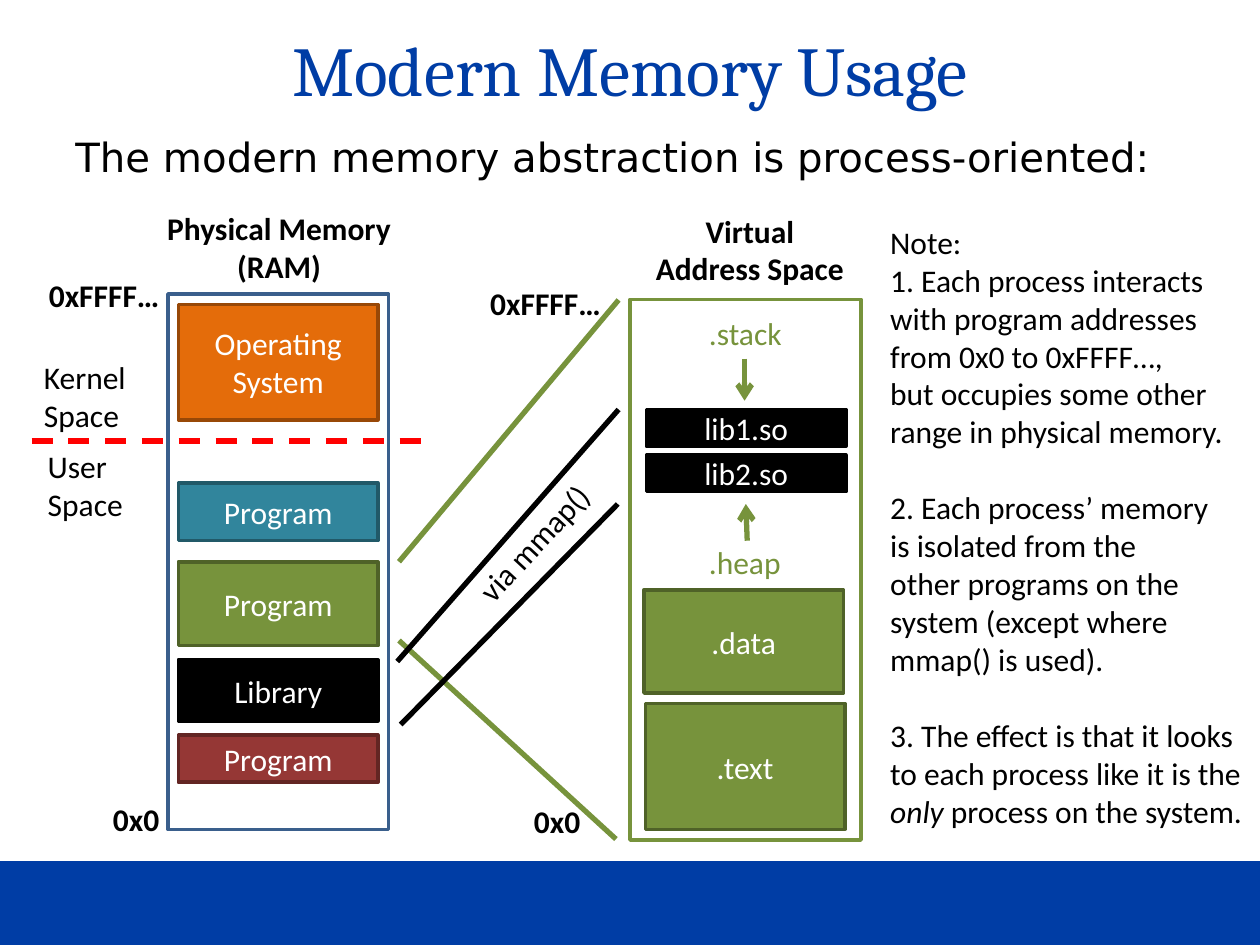
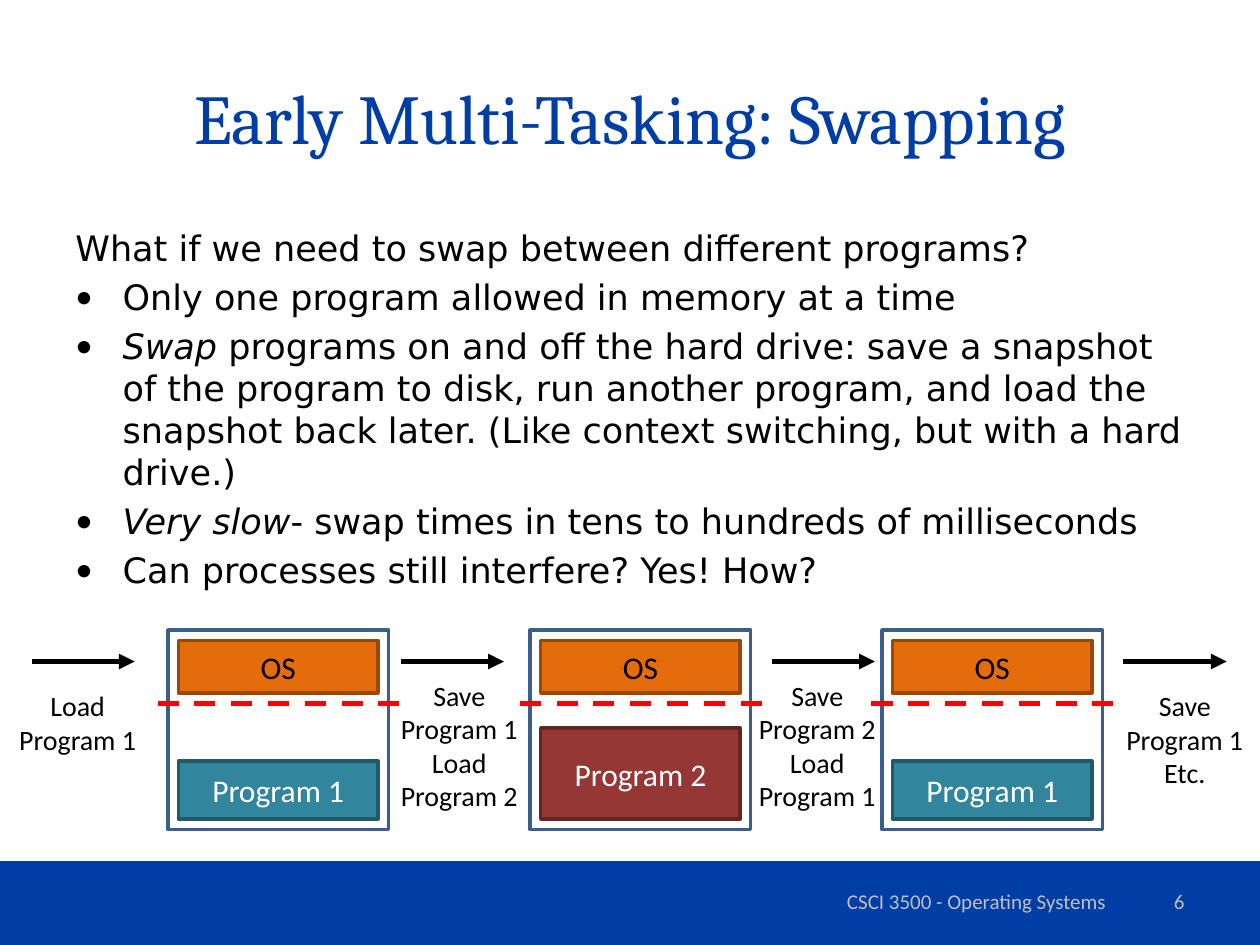
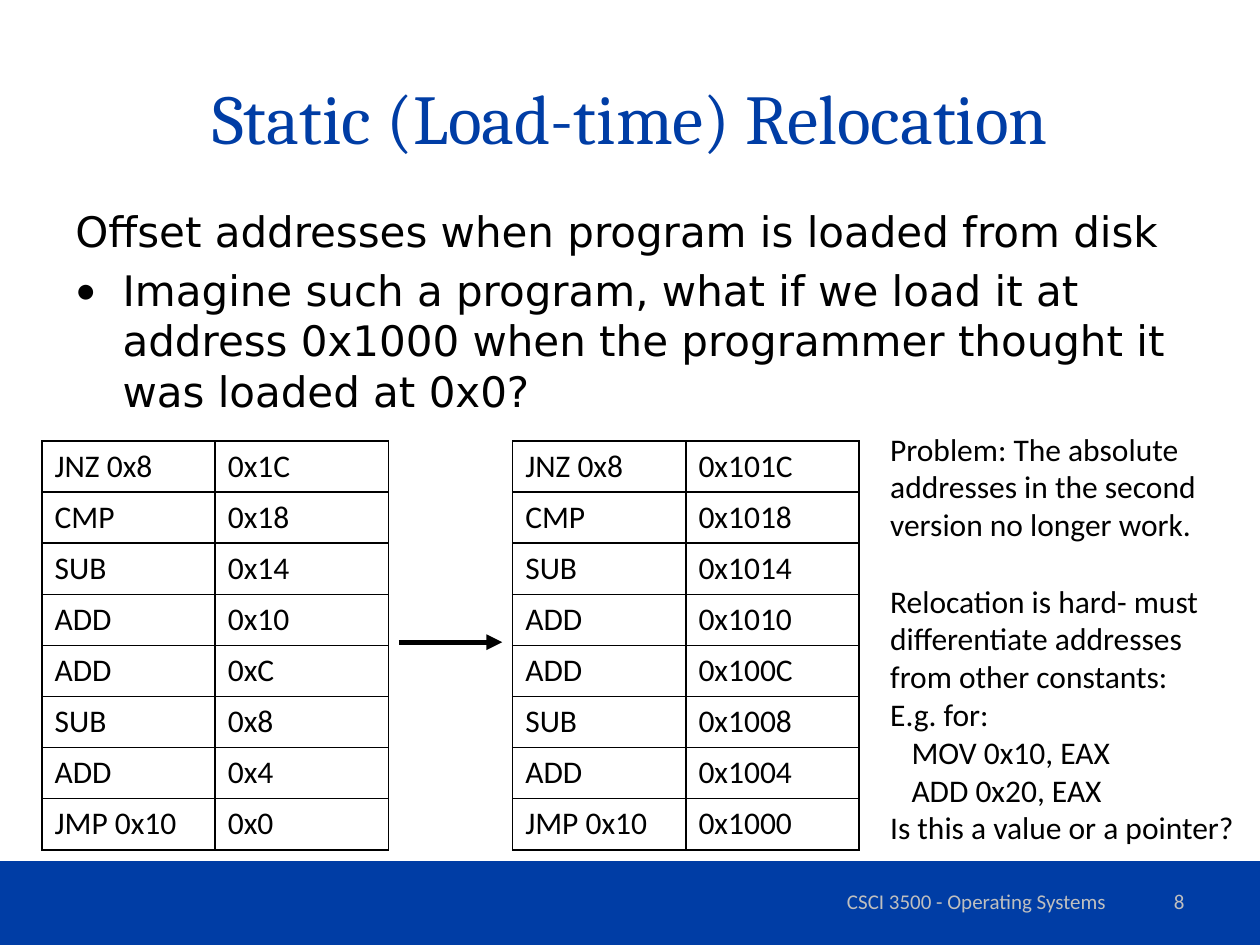
"""Build three slides on memory use, swapping and load-time relocation."""
from lxml.etree import SubElement
from pptx import Presentation
from pptx.dml.color import RGBColor
from pptx.enum.dml import MSO_LINE
from pptx.enum.shapes import MSO_CONNECTOR, MSO_SHAPE
from pptx.enum.text import MSO_ANCHOR, MSO_AUTO_SIZE, PP_ALIGN
from pptx.oxml.ns import qn
from pptx.util import Pt

HUES = {
    "brand": "003DA5", "black": "000000", "white": "FFFFFF", "grey": "BFBFBF",
    "red": "FF0000", "frame": "3A5F8C", "green": "77933C", "moss": "4F6228",
    "orange": "E46C0A", "rust": "984807", "teal": "31859C", "sea": "215968",
    "wine": "953735", "plum": "632523",
}
EDGES = {"orange": "rust", "teal": "sea", "green": "moss", "wine": "plum", "black": "black"}
SIDES = {"l": PP_ALIGN.LEFT, "c": PP_ALIGN.CENTER, "r": PP_ALIGN.RIGHT}
COURSE = "CSCI 3500 - Operating Systems"


def hue(name):
    return RGBColor.from_string(HUES[name])


def put(item, **vals):
    for key, val in vals.items():
        setattr(item, key, val)


def add(parent, tag, **vals):
    node = SubElement(parent, qn(tag))
    for key, val in vals.items():
        node.set(key, str(val))
    return node


class Deck:
    """Holds the style and the current slide."""

    def __init__(self):
        self.file = Presentation()
        put(self.file, slide_width=Pt(720), slide_height=Pt(540))

    def page(self, title, top=21.6, num=None):
        self.slide = self.file.slides.add_slide(self.file.slide_layouts[6])
        self.block(0, 492, 720, 48, "brand", edge=None)
        self.text(title, 36, top, 648, 90, size=40, font="Cambria", tint="brand",
                  side="c", mid=True)
        if num:
            foot = {"size": 12, "tint": "grey", "mid": True}
            self.text(COURSE, 444, 500.4, 228, 28.8, side="c", **foot)
            self.text(num, 516, 500.4, 168, 28.8, side="r", **foot)

    def words(self, frame, text, size=18, font="Calibri", tint="black", side="l",
              bold=False, pitch=None):
        items = [text] if isinstance(text, str) else text
        for spot, item in enumerate(items):
            copy, form = (item, {}) if isinstance(item, str) else item
            para = frame.paragraphs[0] if spot == 0 else frame.add_paragraph()
            put(para, alignment=SIDES[side], space_before=Pt(form.get("gap", 0)))
            if pitch:
                para.line_spacing = Pt(pitch)
            props = para._p.get_or_add_pPr()
            if "left" in form:
                props.set("marL", str(Pt(form["left"])))
            if form.get("dot"):
                props.set("indent", str(-Pt(form["left"])))
                add(props, "a:buFont", typeface="Calibri")
                add(props, "a:buChar", char="•")
            for row, line in enumerate(copy.split("\n")):
                if row:
                    para.add_line_break()
                for turn, part in enumerate(line.split("*")):
                    if part:
                        run = para.add_run()
                        run.text = part
                        put(run.font, size=Pt(size), name=font, bold=bold,
                            italic=turn % 2 == 1)
                        run.font.color.rgb = hue(tint)

    def text(self, text, x, y, w, h, mid=False, wrap=True, turn=0, **look):
        box = self.slide.shapes.add_textbox(Pt(x), Pt(y), Pt(w), Pt(h))
        put(box.text_frame, word_wrap=wrap,
            auto_size=MSO_AUTO_SIZE.NONE if wrap else MSO_AUTO_SIZE.SHAPE_TO_FIT_TEXT,
            vertical_anchor=MSO_ANCHOR.MIDDLE if mid else MSO_ANCHOR.TOP)
        box.rotation = turn
        self.words(box.text_frame, text, **look)

    def label(self, text, x, y, w, h=29, **look):
        self.text(text, x, y, w, h, wrap=False, **look)

    def body(self, text, top, size):
        gap = {"gap": size * 0.2, "left": 27, "dot": True}
        items = [text[0]] + [(line, gap) for line in text[1:]]
        self.text(items, 36, top, 648, 356, size=size, font="DejaVu Sans", pitch=size * 1.2)

    def block(self, x, y, w, h, fill=None, text=None, edge="auto", tint="white"):
        box = self.slide.shapes.add_shape(MSO_SHAPE.RECTANGLE, Pt(x), Pt(y), Pt(w), Pt(h))
        box.shadow.inherit = False
        if fill:
            box.fill.solid()
            box.fill.fore_color.rgb = hue(fill)
        else:
            box.fill.background()
        if edge:
            box.line.color.rgb = hue(EDGES[fill] if edge == "auto" else edge)
            box.line.width = Pt(2)
        else:
            box.line.fill.background()
        if text:
            put(box.text_frame, word_wrap=True, vertical_anchor=MSO_ANCHOR.MIDDLE)
            self.words(box.text_frame, text, tint=tint, side="c")

    def line(self, x, y, to_x, to_y, tint="black", dash=False, tip=None):
        link = self.slide.shapes.add_connector(
            MSO_CONNECTOR.STRAIGHT, Pt(x), Pt(y), Pt(to_x), Pt(to_y))
        link.line.color.rgb = hue(tint)
        link.line.width = Pt(3)
        if dash:
            link.line.dash_style = MSO_LINE.DASH
        props = link.element.spPr
        if tip:
            add(props.find(qn("a:ln")), "a:tailEnd", type=tip)
        add(props, "a:effectLst")

    def table(self, rows, x, y, col=99, high=29.2):
        wide = len(rows[0])
        grid = self.slide.shapes.add_table(
            len(rows), wide, Pt(x), Pt(y), Pt(col * wide), Pt(high * len(rows))).table
        put(grid, first_row=False, horz_banding=False)
        for row, vals in enumerate(rows):
            grid.rows[row].height = Pt(high)
            for spot, val in enumerate(vals):
                grid.columns[spot].width = Pt(col)
                cell = grid.cell(row, spot)
                props = cell._tc.get_or_add_tcPr()
                for side in "LRTB":
                    rule = add(props, f"a:ln{side}", w=Pt(1))
                    add(add(rule, "a:solidFill"), "a:srgbClr", val=HUES["black"])
                cell.fill.background()
                self.words(cell.text_frame, val)


def usage(deck):
    deck.page("Modern Memory Usage", top=-6)
    deck.body(["The modern memory abstraction is process-oriented:"], 72, 23)
    deck.block(96, 168, 126, 306, edge="frame")
    for y, h, fill, name in [
            (174, 66, "orange", "Operating System"), (276, 33, "teal", "Program"),
            (321, 48, "green", "Program"), (377, 35, "black", "Library"),
            (420, 27, "wine", "Program")]:
        deck.block(102, y, 114, h, fill, name)
    for text, x, y, w in [("0x0", 57.5, 453.6, 41), ("0xFFFF…", 20.8, 154, 78.5),
                          ("0x0", 298, 454.5, 41), ("0xFFFF…", 273, 159, 78.5)]:
        deck.label(text, x, y, w, bold=True)
    deck.line(18, 252, 246, 252, "red", dash=True)
    deck.label("Kernel\nSpace", 18, 201, 62, 51)
    deck.label("User\nSpace", 20.2, 252, 58, 51)
    for tint, *ends in [("green", 228, 321, 353.5, 171.4), ("green", 228, 366, 352, 479.5),
                        ("black", 227, 378, 353.5, 234), ("black", 229, 414, 353, 288)]:
        deck.line(*ends, tint)
    deck.label("via mmap()", 256.3, 295.2, 98, turn=312.9)
    deck.label("Physical Memory\n(RAM)", 87.8, 116, 143.3, 51, bold=True, side="c")
    deck.label("Virtual\nAddress Space", 367, 117.4, 123, 51, bold=True, side="c")
    deck.block(360, 171, 132, 309, edge="green")
    deck.label(".heap", 398, 306.7, 56, tint="green")
    deck.label(".stack", 398, 175.7, 56, tint="green")
    deck.line(427, 309, 426.2, 288, "green", tip="arrow")
    deck.line(425.5, 205, 425.5, 229, "green", tip="arrow")
    for x, y, h, fill, name in [
            (368.8, 402, 72, "green", ".text"), (368, 337, 59, "green", ".data"),
            (369.4, 234, 21, "black", "lib1.so"), (369.4, 260, 21, "black", "lib2.so")]:
        deck.block(x, y, 114, h, fill, name)
    gap = {"gap": 22}
    deck.label([
        "Note:",
        "1. Each process interacts\nwith program addresses\nfrom 0x0 to 0xFFFF…,\n"
        "but occupies some other\nrange in physical memory.",
        ("2. Each process’ memory\nis isolated from the\nother programs on the\n"
         "system (except where\nmmap() is used).", gap),
        ("3. The effect is that it looks\nto each process like it is the\n"
         "*only* process on the system.", gap),
    ], 501.6, 124, 218, 356)


def swapping(deck):
    deck.page("Early Multi-Tasking: Swapping", num="6")
    deck.body([
        "What if we need to swap between different programs?",
        "Only one program allowed in memory at a time",
        "*Swap* programs on and off the hard drive: save a snapshot of the program to disk, "
        "run another program, and load the snapshot back later. "
        "(Like context switching, but with a hard drive.)",
        "*Very slow*- swap times in tens to hundreds of milliseconds",
        "Can processes still interfere? Yes! How?",
    ], 126, 20)
    for x, y, h, fill, name in [
            (96, 435, 33, "teal", "Program 1"), (303, 416, 52, "wine", "Program 2"),
            (504, 435, 33, "teal", "Program 1")]:
        deck.block(x, 360, 126, 114, edge="frame")
        deck.block(x + 6, 366, 114, 30, "orange", "OS", tint="black")
        deck.block(x + 6, y, 114, h, fill, name)
        deck.line(x - 6, 402, x + 138, 402, "red", dash=True)
    for x, left, top, text in [
            (18, 3.4, 390, "Load\nProgram 1"),
            (229, 221.4, 384, "Save\nProgram 1\nLoad\nProgram 2"),
            (441, 426, 384, "Save\nProgram 2\nLoad\nProgram 1"),
            (642, 636, 390, "Save\nProgram 1\nEtc.")]:
        deck.line(x, 378, x + 59, 378, tip="triangle")
        deck.label(text, left, top, 82, 46, size=16, side="c")


def reloc(deck):
    deck.page("Static (Load-time) Relocation", num="8")
    deck.body([
        "Offset addresses when program is loaded from disk",
        "Imagine such a program, what if we load it at address 0x1000 when the "
        "programmer thought it was loaded at 0x0?",
    ], 114, 24)
    code = ["JNZ 0x8", "CMP", "SUB", "ADD", "ADD", "SUB", "ADD", "JMP 0x10"]
    for x, base in [(24, 0), (293, 0x1000)]:
        last = base + 4 * (len(code) - 1)
        deck.table([(word, f"0x{last - 4 * row:X}") for row, word in enumerate(code)], x, 252)
    deck.line(228, 367, 287, 367, tip="triangle")
    deck.label([
        "Problem: The absolute\naddresses in the second\nversion no longer work.",
        ("Relocation is hard- must\ndifferentiate addresses\nfrom other constants:",
         {"gap": 22}),
        "E.g. for:",
        ("MOV 0x10, EAX\nADD 0x20, EAX", {"left": 12.2}),
        "Is this a value or a pointer?",
    ], 501.6, 242, 218, 247)


def main():
    deck = Deck()
    for build in (usage, swapping, reloc):
        build(deck)
    deck.file.save("out.pptx")


if __name__ == "__main__":
    main()
